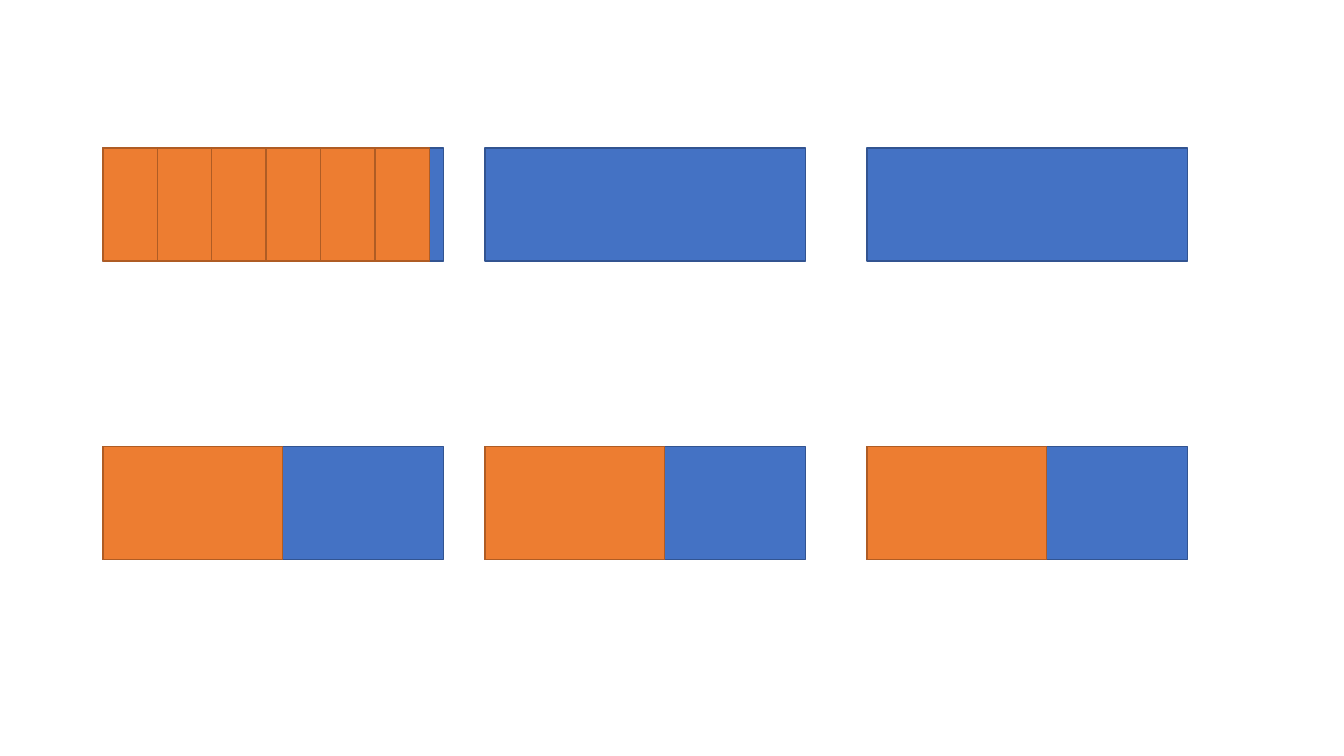
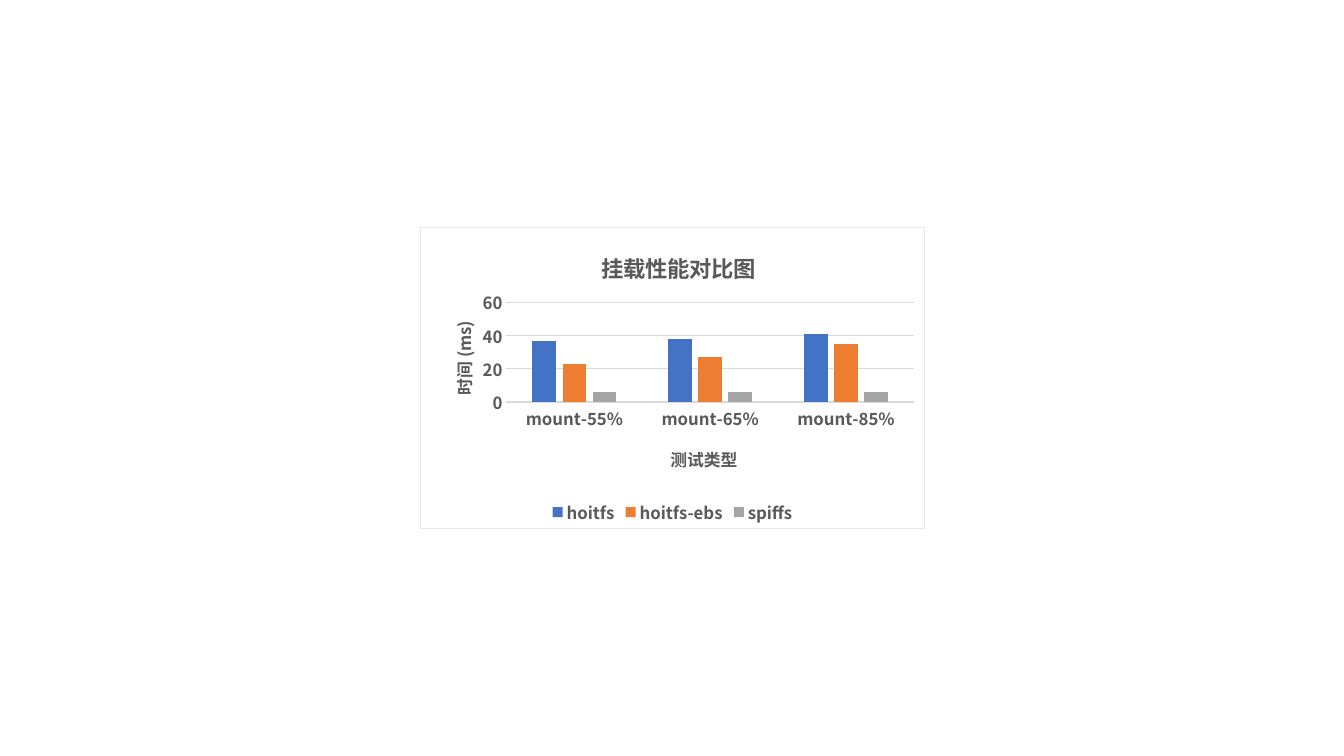
from lxml import etree
from pptx import Presentation
from pptx.chart.data import CategoryChartData
from pptx.dml.color import RGBColor
from pptx.enum.chart import XL_CHART_TYPE, XL_LEGEND_POSITION, XL_TICK_MARK
from pptx.enum.shapes import MSO_SHAPE
from pptx.oxml import parse_xml
from pptx.oxml.ns import nsdecls, qn
from pptx.util import Inches, Pt

RECTANGLE = MSO_SHAPE.RECTANGLE
CLUSTERED = XL_CHART_TYPE.COLUMN_CLUSTERED
LEGEND_BOTTOM = XL_LEGEND_POSITION.BOTTOM
NO_TICK = XL_TICK_MARK.NONE

BLUE = RGBColor(0x44, 0x72, 0xC4)
DARK_BLUE = RGBColor(0x32, 0x54, 0x91)
ORANGE = RGBColor(0xED, 0x7D, 0x31)
DARK_ORANGE = RGBColor(0xAF, 0x5C, 0x24)
GRAY = RGBColor(0xA5, 0xA5, 0xA5)
TEXT = RGBColor(0x59, 0x59, 0x59)
GRID = RGBColor(0xD9, 0xD9, 0xD9)
FONT = "Noto Sans CJK SC"

deck = Presentation()
deck.slide_width, deck.slide_height = Inches(13.33), Inches(7.5)
BLANK = deck.slide_layouts[6]


def place(element, **shares):
    """Fix a chart part at shares of the chart's width and height."""
    layout = element.find(qn("c:layout"))
    if layout is None:
        layout = etree.Element(qn("c:layout"))
        element.insert(0, layout)
    for child in list(layout):
        layout.remove(child)
    manual = etree.SubElement(layout, qn("c:manualLayout"))
    if "w" in shares:
        etree.SubElement(manual, qn("c:layoutTarget")).set("val", "inner")
    for side in ("x", "y"):
        etree.SubElement(manual, qn(f"c:{side}Mode")).set("val", "edge")
    for side, share in shares.items():
        etree.SubElement(manual, qn(f"c:{side}")).set("val", str(share))


def write_title(title, text, size=12, x=0, y=0, turned=False):
    frame = title.text_frame
    para = frame.paragraphs[0]
    span = para.add_run()
    span.text = text
    font = span.font
    font.name, font.size, font.bold = FONT, Pt(size), True
    font.color.rgb = TEXT
    etree.SubElement(font._element, qn("a:ea")).set("typeface", FONT)
    if turned:
        body = frame._txBody.find(qn("a:bodyPr"))
        body.set("rot", "-5400000")
        body.set("vert", "horz")
    place(title._element, x=x, y=y)


# Slide 1: blocks, each with its used part in orange
LEFT, PITCH, BLOCK_HEIGHT = 1.02, 3.79, 1.12
BLOCK_WIDTHS = (3.38, 3.18, 3.18)
USED_ROWS = (
    (1.47, 0.54, (6, 0, 0)),
    (4.43, 1.78, (1, 1, 1)),
)
page = deck.slides.add_slide(BLANK)
for top, used_width, used_counts in USED_ROWS:
    for column, (block_width, count) in enumerate(zip(BLOCK_WIDTHS, used_counts)):
        left = LEFT + column * PITCH
        parts = [(left, block_width, BLUE, DARK_BLUE)]
        for index in range(count):
            parts.append((left + index * used_width, used_width, ORANGE, DARK_ORANGE))
        for part_left, width, fill, edge in parts:
            box = page.shapes.add_shape(
                RECTANGLE, Inches(part_left), Inches(top), Inches(width), Inches(BLOCK_HEIGHT))
            box.shadow.inherit = False
            box.fill.solid()
            box.fill.fore_color.rgb = fill
            box.line.color.rgb = edge
            box.line.width = Pt(1)

# Slide 2: mount time chart
SERIES = (
    ("hoitfs", (37, 38, 41), BLUE),
    ("hoitfs-ebs", (23, 27, 35), ORANGE),
    ("spiffs", (6, 6, 6), GRAY),
)
page = deck.slides.add_slide(BLANK)
data = CategoryChartData()
data.categories = ("mount-55%", "mount-65%", "mount-85%")
for name, values, _ in SERIES:
    data.add_series(name, values)
chart = page.shapes.add_chart(
    CLUSTERED, Inches(4.17), Inches(2.25), Inches(5), Inches(3), data).chart
chart.font.name, chart.font.size = FONT, Pt(10)

# Columns
plot = chart.plots[0]
plot.gap_width, plot.overlap, plot.vary_by_categories = 219, -27, False
for series, (_, _, color) in zip(plot.series, SERIES):
    series.format.fill.solid()
    series.format.fill.fore_color.rgb = color

# Axes and legend
times, tests = chart.value_axis, chart.category_axis
times.minimum_scale, times.maximum_scale, times.major_unit = 0, 60, 20
times.format.line.fill.background()
for line in (times.major_gridlines.format.line, tests.format.line):
    line.color.rgb = GRID
    line.width = Pt(0.75)
for axis in (times, tests):
    axis.major_tick_mark = axis.minor_tick_mark = NO_TICK
chart.has_legend = True
chart.legend.position = LEGEND_BOTTOM
chart.legend.include_in_layout = False
for font in (times.tick_labels.font, tests.tick_labels.font, chart.legend.font):
    font.name, font.size, font.bold = FONT, Pt(12), True
    font.color.rgb = TEXT

# Titles and plot area
write_title(chart.chart_title, "挂载性能对比图", size=16, x=0.35, y=0.06)
write_title(times.axis_title, "时间 (ms)", x=0.05, y=0.3, turned=True)
write_title(tests.axis_title, "测试类型", x=0.49, y=0.71)
place(chart._chartSpace.chart.plotArea, x=0.17, y=0.25, w=0.81, h=0.33)

# Chart border
chart._chartSpace.chart.addnext(parse_xml(
    f'<c:spPr {nsdecls("c", "a")}><a:solidFill><a:srgbClr val="FFFFFF"/></a:solidFill>'
    '<a:ln w="9525"><a:solidFill><a:srgbClr val="E7E6E6"/></a:solidFill></a:ln></c:spPr>'))

deck.save("out.pptx")
